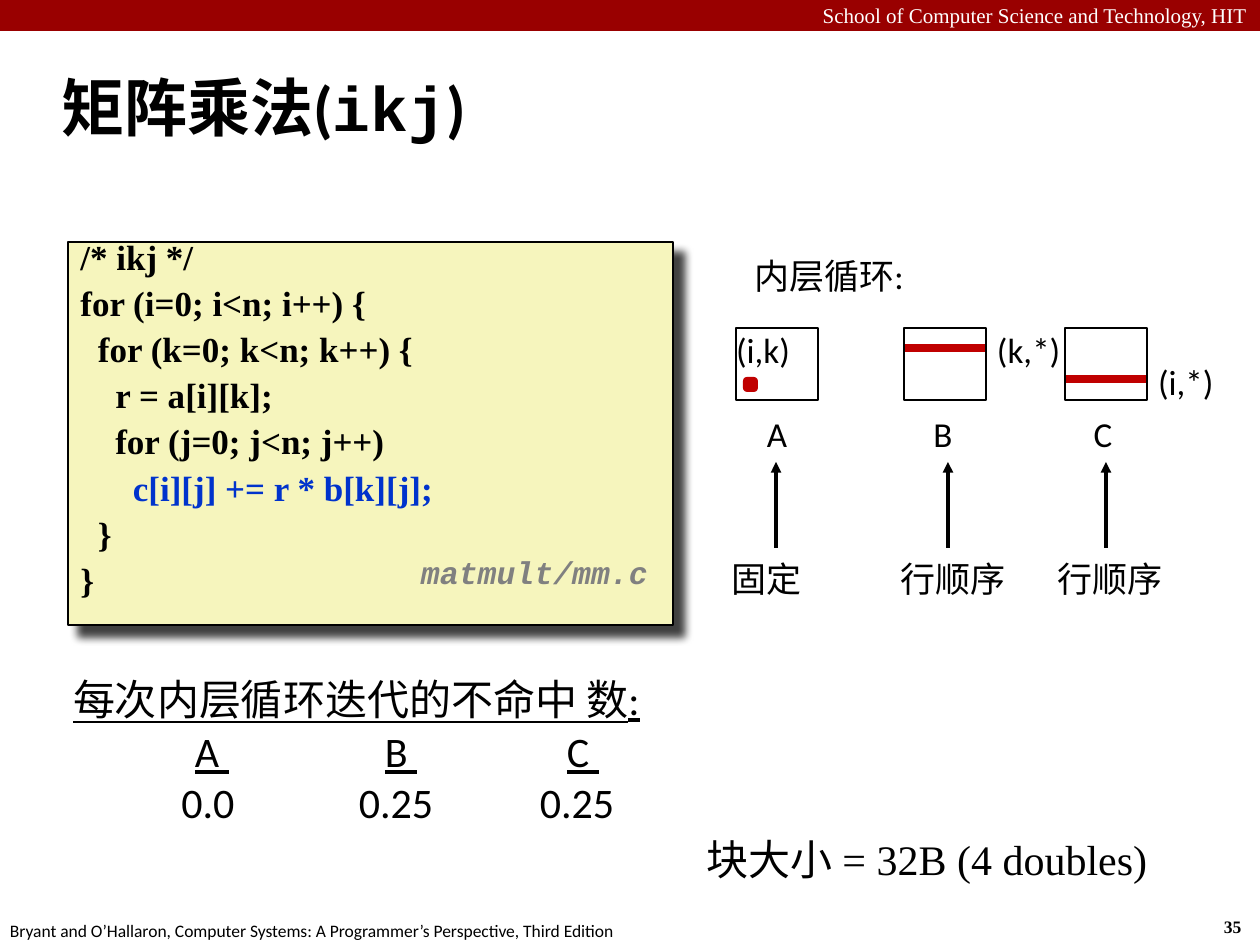
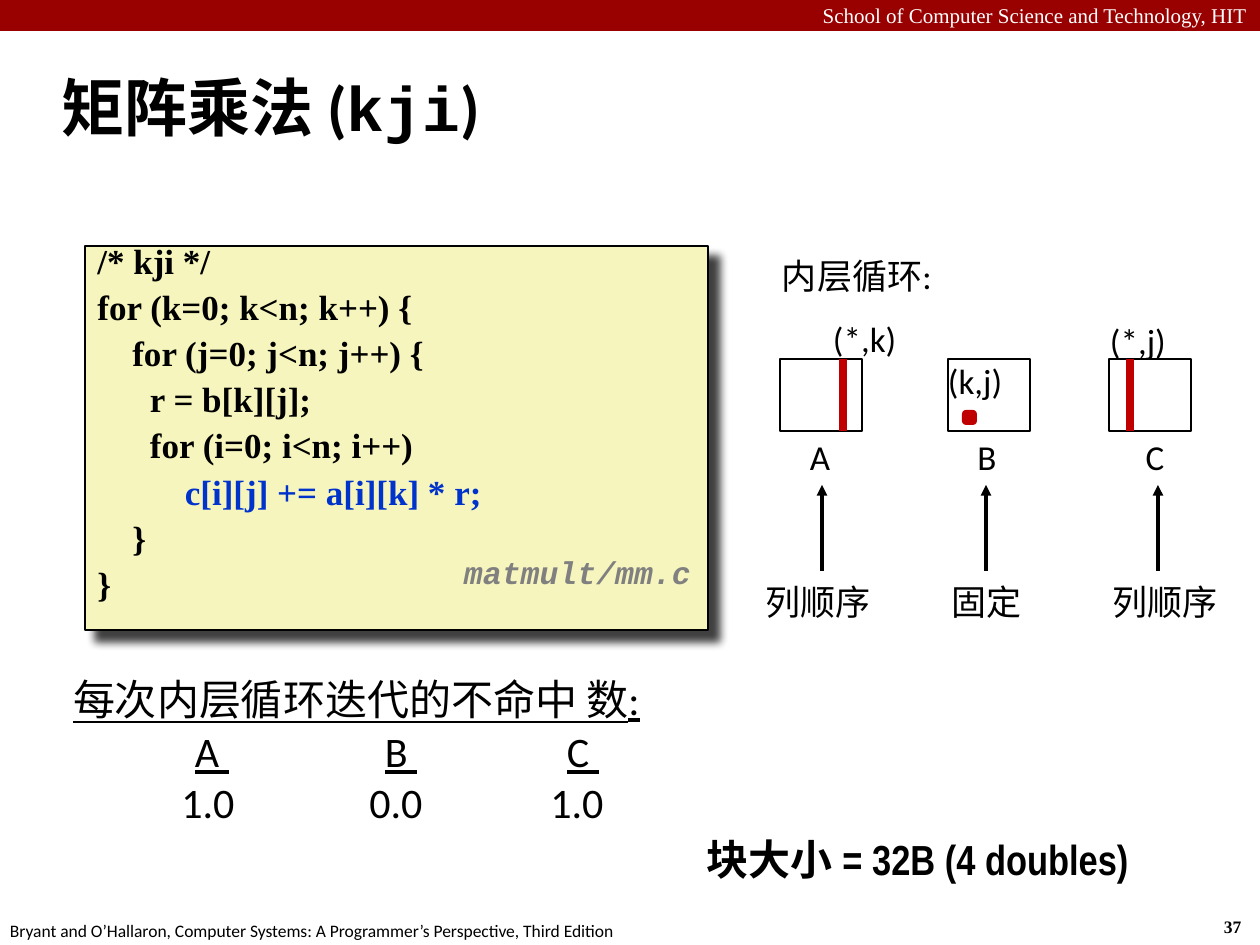
from lxml import etree
from pptx import Presentation
from pptx.dml.color import RGBColor
from pptx.enum.shapes import MSO_CONNECTOR, MSO_SHAPE
from pptx.enum.text import MSO_ANCHOR, PP_ALIGN
from pptx.oxml import parse_xml
from pptx.oxml.ns import nsdecls, qn
from pptx.util import Emu, Pt

# Shared look; lengths are px at 126 to the inch
PX = 914400 / 126
BLACK = RGBColor(0x00, 0x00, 0x00)
WHITE = RGBColor(0xFF, 0xFF, 0xFF)
BAND_RED = RGBColor(0x99, 0x00, 0x00)
ACCESS_RED = RGBColor(0xC0, 0x00, 0x00)
CODE_YELLOW = RGBColor(0xF6, 0xF5, 0xBD)
CODE_BLUE = RGBColor(0x00, 0x33, 0xCC)
FILE_GREY = RGBColor(0x80, 0x80, 0x80)
SANS, NARROW, SERIF, MONO = "Calibri", "Arial Narrow", "Times New Roman", "Courier New"

MATRIX_W, MATRIX_H = 82, 72
MISS_COLUMNS = [("A ", 195, 208), ("B ", 385, 396), ("C ", 567, 577)]
CODE_SHADOW = (
    f'<a:effectLst {nsdecls("a")}><a:outerShdw blurRad="63500" dist="107950" dir="2700000" '
    'algn="tl" rotWithShape="0"><a:srgbClr val="000000"><a:alpha val="75000"/></a:srgbClr>'
    '</a:outerShdw></a:effectLst>')

# Matrix: name, left, name centre, access label, label place, mark, mark offset,
# arrow x, order, order centre
SLIDES = [
    dict(
        page="35", heading="矩阵乘法(", order="ikj", code_box=(68, 242, 605, 383),
        code=["/* ikj */", "for (i=0; i<n; i++) {", "  for (k=0; k<n; k++) {",
              "    r = a[i][k];", "    for (j=0; j<n; j++)",
              "      c[i][j] += r * b[k][j];", "  }", "}"],
        file_x=421, loop_x=754, matrix_y=328, name_y=412,
        matrices=[
            ("A", 736, 777, "(i,k)", None, "dot", (7, 49), 776, "固定", 767),
            ("B", 904, 943, "(k,*)", (997, 328), "row", 20, 948, "行顺序", 953),
            ("C", 1065, 1103, "(i,*)", (1158, 360), "row", 51, 1106, "行顺序", 1110)],
        misses=["0.0", "0.25", "0.25"], block_font=SERIF, block_bold=False),
    dict(
        page="37", heading="矩阵乘法 (", order="kji", code_box=(85, 246, 623, 384),
        code=["/* kji */", "for (k=0; k<n; k++) {", "    for (j=0; j<n; j++) {",
              "      r = b[k][j];", "      for (i=0; i<n; i++)",
              "          c[i][j] += a[i][k] * r;", "    }", "}"],
        file_x=464, loop_x=782, matrix_y=359, name_y=435,
        matrices=[
            ("A", 780, 820, "(*,k)", (833, 317), "column", 63, 822, "列顺序", 818),
            ("B", 948, 987, "(k,j)", None, "dot", (14, 51), 986, "固定", 987),
            ("C", 1109, 1155, "(*,j)", (1110, 319), "column", 21, 1158, "列顺序", 1165)],
        misses=["1.0", "0.0", "1.0"], block_font=NARROW, block_bold=True),
]


def px(*lengths):
    return [Emu(round(length * PX)) for length in lengths]


def write(shape, size, *runs, color=BLACK, bold=False, align=PP_ALIGN.LEFT):
    """Fill a shape with one paragraph of (text, font) runs and no insets."""
    frame = shape.text_frame
    frame.word_wrap = True
    frame.vertical_anchor = MSO_ANCHOR.TOP
    frame.margin_left = frame.margin_right = frame.margin_top = frame.margin_bottom = 0
    paragraph = frame.paragraphs[0]
    paragraph.alignment = align
    for text, font in runs:
        run = paragraph.add_run()
        run.text = text
        run.font.name, run.font.size = font, Pt(size)
        run.font.bold, run.font.color.rgb = bold, color
    return paragraph


prs = Presentation()
prs.slide_width, prs.slide_height = px(1260, 945)

for content in SLIDES:
    slide = prs.slides.add_slide(prs.slide_layouts[5])
    shapes = slide.shapes

    # Band and footer
    band = shapes.add_shape(MSO_SHAPE.RECTANGLE, *px(0, 0, 1260, 31))
    band.shadow.inherit = False
    band.fill.solid()
    band.fill.fore_color.rgb = BAND_RED
    band.line.fill.background()
    school = shapes.add_textbox(*px(0, 3, 1247, 26))
    write(school, 12, ("School of Computer Science and Technology, HIT", SERIF),
          color=WHITE, align=PP_ALIGN.RIGHT)
    page = shapes.add_textbox(*px(1224, 916, 34, 22))
    write(page, 10, (content["page"], SERIF), bold=True)
    book = shapes.add_textbox(*px(10, 920, 640, 22))
    write(book, 10, ("Bryant and O’Hallaron, Computer Systems: "
                     "A Programmer’s Perspective, Third Edition", SANS))

    # Title
    title = shapes.title
    title.left, title.top, title.width, title.height = px(61, 68, 730, 77)
    write(title, 36, (content["heading"], SANS), (content["order"], MONO), (")", SANS),
          bold=True)
    title.text_frame.vertical_anchor = MSO_ANCHOR.MIDDLE

    # Code listing
    listing = shapes.add_shape(MSO_SHAPE.RECTANGLE, *px(*content["code_box"]))
    listing.fill.solid()
    listing.fill.fore_color.rgb = CODE_YELLOW
    listing.line.color.rgb = BLACK
    listing.line.width = Pt(1)
    listing._element.spPr.append(parse_xml(CODE_SHADOW))
    listing.text_frame.vertical_anchor = MSO_ANCHOR.TOP
    listing.text_frame.text = "\n".join(content["code"])
    for number, line in enumerate(listing.text_frame.paragraphs):
        line.alignment = PP_ALIGN.LEFT
        line.line_spacing = 0.65
        if number:
            line.space_before = Pt(10.8)
        line.font.name, line.font.size, line.font.bold = SERIF, Pt(20), True
        for run in line.runs:
            run.font.name, run.font.size, run.font.bold = SERIF, Pt(20), True
            run.font.color.rgb = CODE_BLUE if "+=" in line.text else BLACK
    source_file = shapes.add_textbox(*px(content["file_x"], 553, 240, 36))
    write(source_file, 18, ("matmult/mm.c", MONO), color=FILE_GREY,
          bold=True).runs[0].font.italic = True

    # Inner loop: matrices with their access pattern
    inner_loop = shapes.add_textbox(*px(content["loop_x"], 255, 180, 43))
    write(inner_loop, 20, ("内层循环", NARROW), (":", SANS))
    top, name_y = content["matrix_y"], content["name_y"]
    for (name, left, name_x, access, access_at, mark, offset,
         arrow_x, order, order_x) in content["matrices"]:
        matrix = shapes.add_shape(MSO_SHAPE.RECTANGLE, *px(left, top, MATRIX_W, MATRIX_H))
        matrix.shadow.inherit = False
        matrix.fill.background()
        matrix.line.color.rgb = BLACK
        matrix.line.width = Pt(1)
        access_label = shapes.add_textbox(*px(*access_at, 70, 45)) if access_at else matrix
        write(access_label, 20, (access, SANS))

        lines = [(arrow_x, name_y + 136, arrow_x, name_y + 50, BLACK, 2)]
        if mark == "dot":
            element = shapes.add_shape(MSO_SHAPE.ROUNDED_RECTANGLE,
                                       *px(left + offset[0], top + offset[1], 15, 15))
            element.adjustments[0] = 0.27
            element.shadow.inherit = False
            element.fill.solid()
            element.fill.fore_color.rgb = ACCESS_RED
            element.line.fill.background()
        elif mark == "row":
            lines.append((left + 1, top + offset, left + MATRIX_W - 1, top + offset,
                          ACCESS_RED, 4.5))
        else:
            lines.append((left + offset, top, left + offset, top + MATRIX_H,
                          ACCESS_RED, 4.5))
        for *ends, color, width in lines:
            stroke = shapes.add_connector(MSO_CONNECTOR.STRAIGHT, *px(*ends))
            stroke.line.color.rgb = color
            stroke.line.width = Pt(width)
            if color == BLACK:
                etree.SubElement(stroke.line._get_or_add_ln(), qn("a:tailEnd"),
                                 type="triangle")
            etree.SubElement(stroke._element.spPr, qn("a:effectLst"))

        for text, centre, y in [(name, name_x, name_y), (order, order_x, name_y + 145)]:
            caption = shapes.add_textbox(*px(centre - 70, y, 140, 45))
            write(caption, 20, (text, SANS), align=PP_ALIGN.CENTER)

    # Misses per inner loop iteration
    misses_heading = shapes.add_textbox(*px(73, 674, 608, 50))
    for run in write(misses_heading, 24, ("每次内层循环迭代的不命中 数", NARROW),
                     (":", SANS)).runs:
        run.font.underline = True
    for (name, name_left, centre), rate in zip(MISS_COLUMNS, content["misses"]):
        column_name = shapes.add_textbox(*px(name_left, 726, 60, 51))
        write(column_name, 24, (name, SANS)).runs[0].font.underline = True
        miss_rate = shapes.add_textbox(*px(centre - 50, 777, 100, 51))
        write(miss_rate, 24, (rate, SANS), align=PP_ALIGN.CENTER)

    # Block size
    block_size = shapes.add_textbox(*px(707, 834, 516, 53))
    write(block_size, 24, ("块大小 = 32B (4 doubles)", content["block_font"]),
          bold=content["block_bold"])

prs.save("out.pptx")
